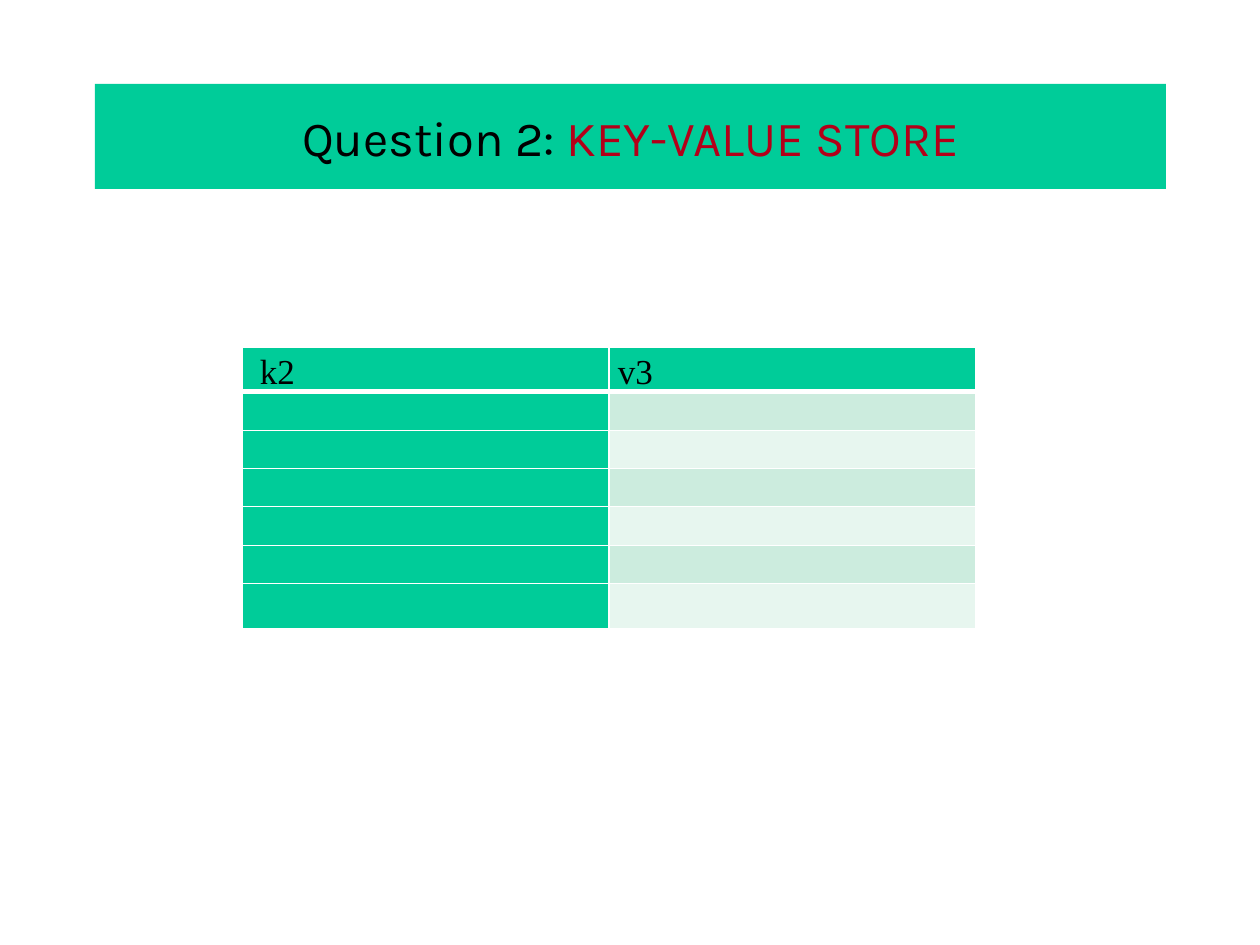
from lxml.etree import SubElement
from pptx import Presentation
from pptx.dml.color import RGBColor
from pptx.enum.shapes import MSO_SHAPE
from pptx.enum.text import MSO_ANCHOR, PP_ALIGN
from pptx.oxml.ns import qn
from pptx.util import Pt

PX = 914400 / 126
GREEN = RGBColor(0x00, 0xCC, 0x99)
MINT = RGBColor(0xCC, 0xEC, 0xDE)
PALE = RGBColor(0xE7, 0xF6, 0xEF)
BLACK = RGBColor(0, 0, 0)
RED = RGBColor(0xB3, 0x00, 0x19)
WHITE = RGBColor(0xFF, 0xFF, 0xFF)


def px(num):
    return round(num * PX)


def edge(cell, side, width):
    line = SubElement(cell._tc.get_or_add_tcPr(), qn("a:" + side), w=str(Pt(width)))
    fill = SubElement(line, qn("a:solidFill"))
    SubElement(fill, qn("a:srgbClr"), val=str(WHITE))


deck = Presentation()
deck.slide_width, deck.slide_height = px(1260), px(945)
slide = deck.slides.add_slide(deck.slide_layouts[6])

# Title bar
bar = slide.shapes.add_shape(MSO_SHAPE.RECTANGLE, px(95), px(84), px(1071), px(105))
bar.shadow.inherit = False
bar.fill.solid()
bar.fill.fore_color.rgb = GREEN
bar.line.fill.background()
frame = bar.text_frame
frame.word_wrap = True
frame.vertical_anchor = MSO_ANCHOR.MIDDLE
title = frame.paragraphs[0]
title.alignment = PP_ALIGN.CENTER
for text, color in (("Question 2: ", BLACK), ("KEY-VALUE STORE", RED)):
    run = title.add_run()
    run.text = text
    run.font.name = "Karla"
    run.font.size = Pt(28)
    run.font.color.rgb = color

# Key-value table: column, heading, left margin
heads = (("k2", 18), ("v3", 9))
tall = (44, 39, 38, 38, 39, 38, 45)
table = slide.shapes.add_table(
    len(tall), len(heads), px(242), px(347), px(734), px(sum(tall))
).table
for col in table.columns:
    col.width = px(367)

for i, high in enumerate(tall):
    table.rows[i].height = px(high)
    for j, (head, left) in enumerate(heads):
        cell = table.cell(i, j)
        cell.margin_left, cell.margin_right = px(left), px(9)
        cell.margin_top = cell.margin_bottom = 0
        para = cell.text_frame.paragraphs[0]
        if i == 0:
            para.text = head
            para.line_spacing = 1.15
            font = para.runs[0].font
            font.name = "Times New Roman"
            font.size = Pt(20)
            font.bold = False
            font.color.rgb = BLACK
        else:
            # Small type keeps empty rows at their height
            SubElement(para._p, qn("a:endParaRPr"), sz="1200")

        # Borders come before the fill in the cell's XML
        for side in ("lnL", "lnR", "lnT", "lnB"):
            thick = (i == 0 and side == "lnB") or (i == 1 and side == "lnT")
            edge(cell, side, 3 if thick else 1)
        cell.fill.solid()
        if i == 0 or j == 0:
            cell.fill.fore_color.rgb = GREEN
        else:
            cell.fill.fore_color.rgb = MINT if i % 2 else PALE

deck.save("out.pptx")
